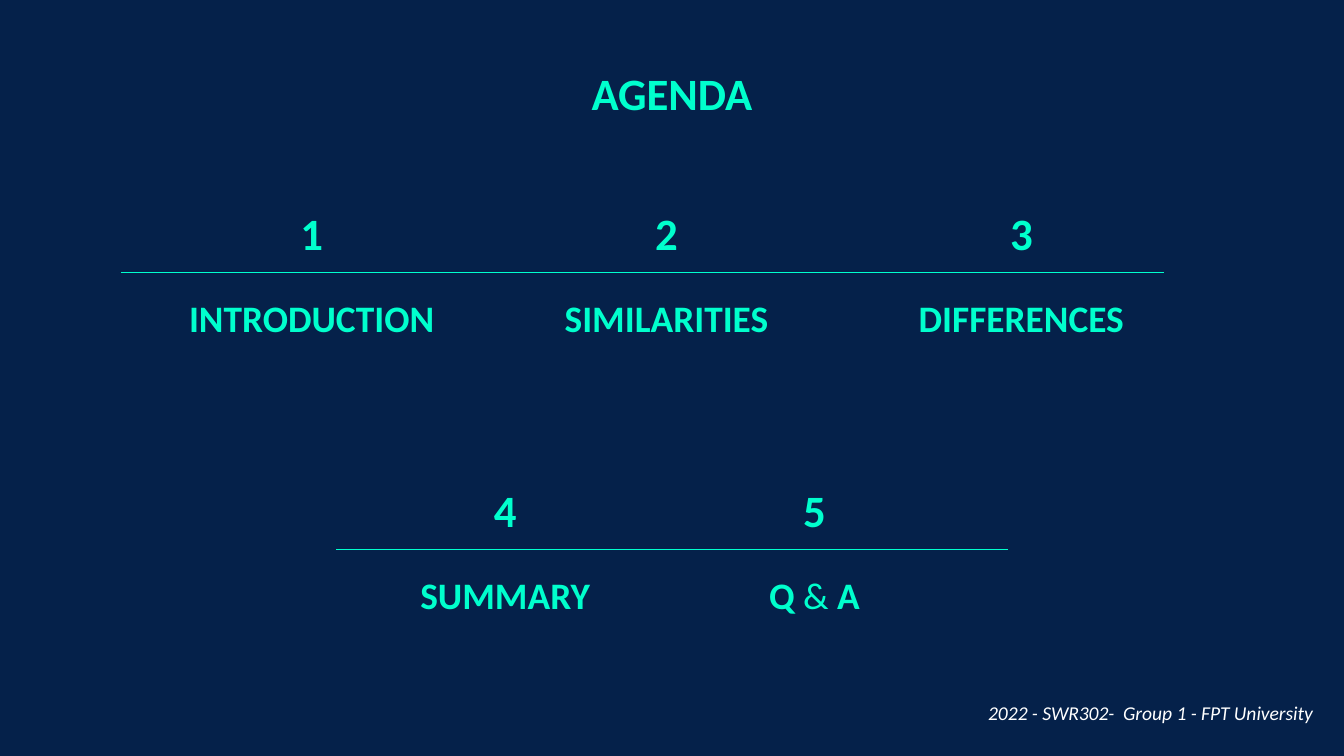
from lxml.etree import SubElement
from pptx import Presentation
from pptx.dml.color import RGBColor
from pptx.enum.shapes import MSO_CONNECTOR
from pptx.enum.text import MSO_ANCHOR, PP_ALIGN
from pptx.oxml.ns import qn
from pptx.util import Inches, Pt

W = 10
H = W * 9 / 16
NAVY, MINT, WHITE = "05214A", "00FFCD", "FFFFFF"
BOX_H = 0.47
NUMBER_W, LABEL_W = 1.93, 2.4
NUMBER_RISE, LABEL_DROP = 0.47, 0.13


def rgb(value):
    return RGBColor.from_string(value)


def add_text(s, box, runs, size, color=MINT, align=PP_ALIGN.CENTER,
             anchor=MSO_ANCHOR.BOTTOM, italic=False):
    sp = s.shapes.add_textbox(*map(Inches, box))
    tf = sp.text_frame
    tf.word_wrap = True
    tf.vertical_anchor = anchor
    tf.margin_left = tf.margin_right = Inches(0.1)
    tf.margin_top = tf.margin_bottom = Inches(0.1)
    p = tf.paragraphs[0]
    p.alignment = align
    for text, bold in runs:
        r = p.add_run()
        r.text = text
        r.font.name = "Calibri"
        r.font.size = Pt(size)
        r.font.bold = bold
        r.font.italic = italic
        r.font.color.rgb = rgb(color)
    return p


def add_rule(s, left, right, y):
    line = s.shapes.add_connector(
        MSO_CONNECTOR.STRAIGHT, *map(Inches, (right, y, left, y)))
    line.line.color.rgb = rgb(MINT)
    line.line.width = Pt(0.75)
    SubElement(line._element.spPr, qn("a:effectLst"))


def add_agenda_row(s, rule, y, first_center, step, first_number, labels):
    add_rule(s, *rule, y)
    for i, label in enumerate(labels):
        center = first_center + i * step
        add_text(s, (center - NUMBER_W / 2, y - NUMBER_RISE, NUMBER_W, BOX_H),
                 [(str(first_number + i), True)], 24)
        add_text(s, (center - LABEL_W / 2, y + LABEL_DROP, LABEL_W, BOX_H),
                 label, 20)


def main():
    prs = Presentation()
    prs.slide_width, prs.slide_height = Inches(W), Inches(H)
    s = prs.slides.add_slide(prs.slide_layouts[6])
    s.background.fill.solid()
    s.background.fill.fore_color.rgb = rgb(NAVY)

    footer = add_text(s, (6.03, 4.93, 3.84, 0.56),
                      [("2022 - SWR302-  Group 1 - FPT University", False)],
                      10.5, WHITE, PP_ALIGN.RIGHT, italic=True)
    footer.line_spacing = 1.3
    add_text(s, (W * 0.215, 0.39, W * 0.57, 1.03), [("AGENDA", True)], 24,
             anchor=MSO_ANCHOR.TOP)

    add_agenda_row(s, (0.9, 8.66), 2.03, 2.32, 2.64, 1, [
        [("INTRODUCTION", True)],
        [("SIMILARITIES", True)],
        [("DIFFERENCES", True)],
    ])
    add_agenda_row(s, (W * 0.25, W * 0.75), 4.09, 3.76, 2.3, 4, [
        [("SUMMARY", True)],
        [("Q ", True), ("&", False), (" A", True)],
    ])
    prs.save("out.pptx")


if __name__ == "__main__":
    main()
